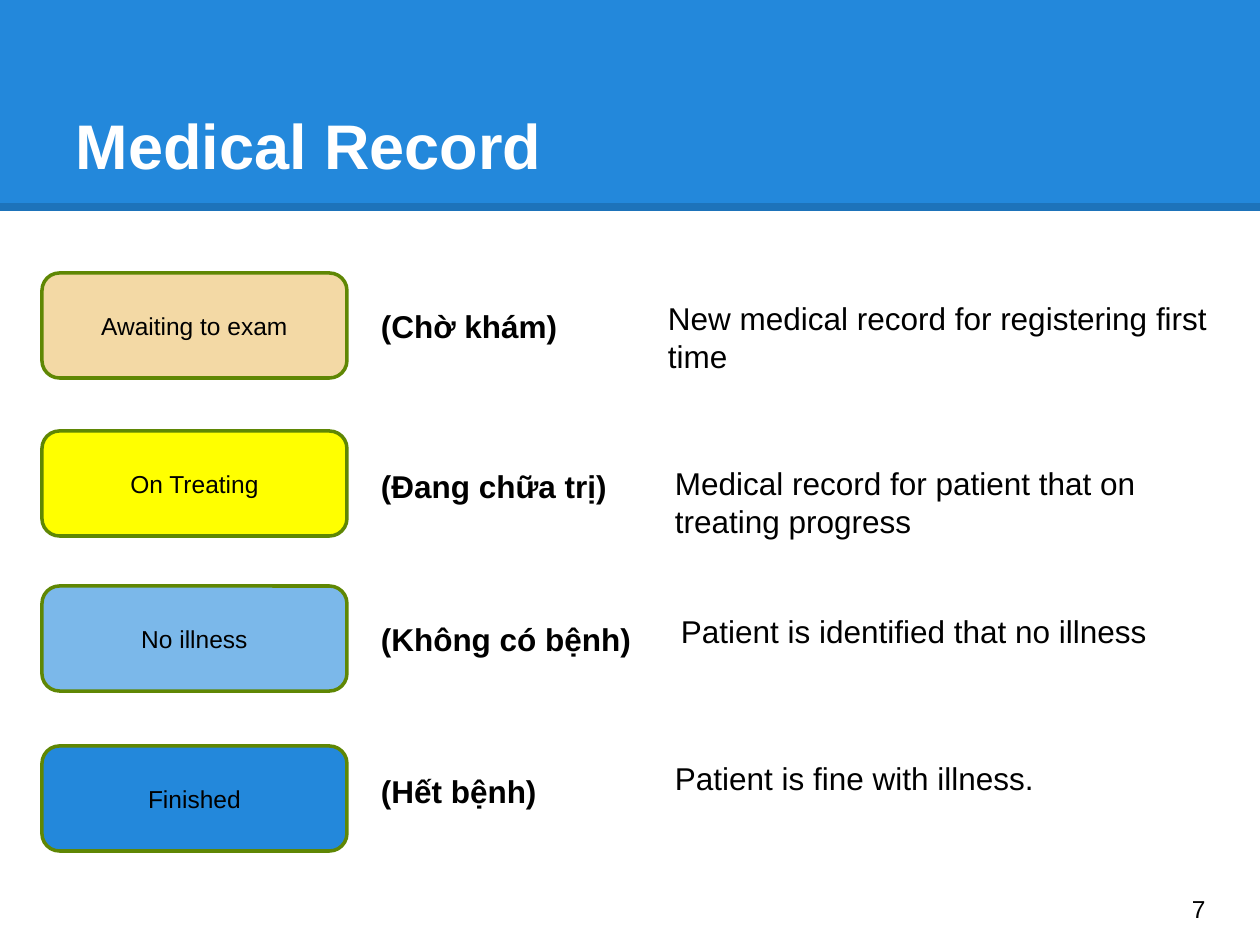
from dataclasses import dataclass

from lxml.etree import SubElement
from pptx import Presentation
from pptx.dml.color import RGBColor
from pptx.enum.shapes import MSO_CONNECTOR, MSO_SHAPE
from pptx.enum.text import MSO_ANCHOR, PP_ALIGN
from pptx.oxml.ns import qn
from pptx.util import Emu, Pt

EMU_PER_PX = 914400 / 126
SLIDE_WIDTH, SLIDE_HEIGHT = 1260, 945
INSET = 13

COLORS = {
    "blue": "2388DB",
    "light_blue": "7BB8EA",
    "sand": "F3D9A5",
    "yellow": "FFFF00",
    "green": "5F8704",
    "black": "000000",
    "white": "FFFFFF",
}


@dataclass(frozen=True)
class Box:
    left: int
    top: int
    width: int
    height: int

    def emu(self) -> list[Emu]:
        return [px(value) for value in (self.left, self.top, self.width, self.height)]


@dataclass(frozen=True)
class Status:
    label: str
    translation: str
    description: str
    fill: str
    label_top: int
    translation_top: int
    description_left: int
    description_top: int


STATUSES = [
    Status("Awaiting to exam", "(Chờ khám)",
           "New medical record for registering first time",
           "sand", 273, 286, 655, 286),
    Status("On Treating", "(Đang chữa trị)",
           "Medical record for patient that on treating progress",
           "yellow", 431, 446, 662, 451),
    Status("No illness", "(Không có bệnh)",
           "Patient is identified that no illness",
           "light_blue", 586, 599, 668, 599),
    Status("Finished", "(Hết bệnh)",
           "Patient is fine with illness.",
           "blue", 746, 751, 662, 746),
]


def px(value: int) -> Emu:
    return Emu(round(value * EMU_PER_PX))


def rgb(name: str) -> RGBColor:
    return RGBColor.from_string(COLORS[name])


def write_text(shape, text: str, size: int, color: str = "black", bold: bool = False,
               anchor=MSO_ANCHOR.MIDDLE, align=PP_ALIGN.LEFT) -> None:
    frame_format = {"word_wrap": True, "vertical_anchor": anchor}
    for side in ("left", "top", "right", "bottom"):
        frame_format[f"margin_{side}"] = px(INSET)
    for name, value in frame_format.items():
        setattr(shape.text_frame, name, value)

    paragraph = shape.text_frame.paragraphs[0]
    paragraph.alignment = align
    run = paragraph.add_run()
    run.text = text
    font_format = {"name": "Arial", "size": Pt(size), "bold": bold}
    for name, value in font_format.items():
        setattr(run.font, name, value)
    run.font.color.rgb = rgb(color)


def add_text(slide, box: Box, text: str, size: int, **text_format) -> None:
    write_text(slide.shapes.add_textbox(*box.emu()), text, size, **text_format)


def add_filled_shape(slide, kind, box: Box, fill: str):
    shape = slide.shapes.add_shape(kind, *box.emu())
    shape.shadow.inherit = False
    shape.fill.solid()
    shape.fill.fore_color.rgb = rgb(fill)
    shape.line.fill.background()
    return shape


def add_header(slide) -> None:
    add_filled_shape(slide, MSO_SHAPE.RECTANGLE, Box(0, 0, SLIDE_WIDTH, 211), "blue")

    # Translucent rule along the lower edge of the band
    rule = slide.shapes.add_connector(
        MSO_CONNECTOR.STRAIGHT, px(0), px(207), px(SLIDE_WIDTH), px(207))
    rule.line.width = Pt(4.5)
    rule.line.color.rgb = rgb("black")
    color_element = next(rule.line._ln.iter(qn("a:srgbClr")))
    SubElement(color_element, qn("a:alpha"), val="15000")
    SubElement(rule._element.spPr, qn("a:effectLst"))

    add_text(slide, Box(63, 38, 1134, 157), "Medical Record", 36,
             color="white", bold=True, anchor=MSO_ANCHOR.BOTTOM)


def add_status(slide, status: Status) -> None:
    label = add_filled_shape(slide, MSO_SHAPE.ROUNDED_RECTANGLE,
                             Box(42, status.label_top, 305, 105), status.fill)
    label.line.color.rgb = rgb("green")
    label.line.width = Pt(2)
    write_text(label, status.label, 14, align=PP_ALIGN.CENTER)

    add_text(slide, Box(368, status.translation_top, 287, 79),
             status.translation, 18, bold=True)
    add_text(slide, Box(status.description_left, status.description_top, 578, 79),
             status.description, 18, anchor=MSO_ANCHOR.TOP)


def main() -> None:
    presentation = Presentation()
    presentation.slide_width = px(SLIDE_WIDTH)
    presentation.slide_height = px(SLIDE_HEIGHT)
    slide = presentation.slides.add_slide(presentation.slide_layouts[6])

    # Title band
    add_header(slide)

    # One row per record status
    for status in STATUSES:
        add_status(slide, status)

    # Page number
    add_text(slide, Box(1179, 873, 76, 72), "7", 14)

    presentation.save("out.pptx")


if __name__ == "__main__":
    main()
